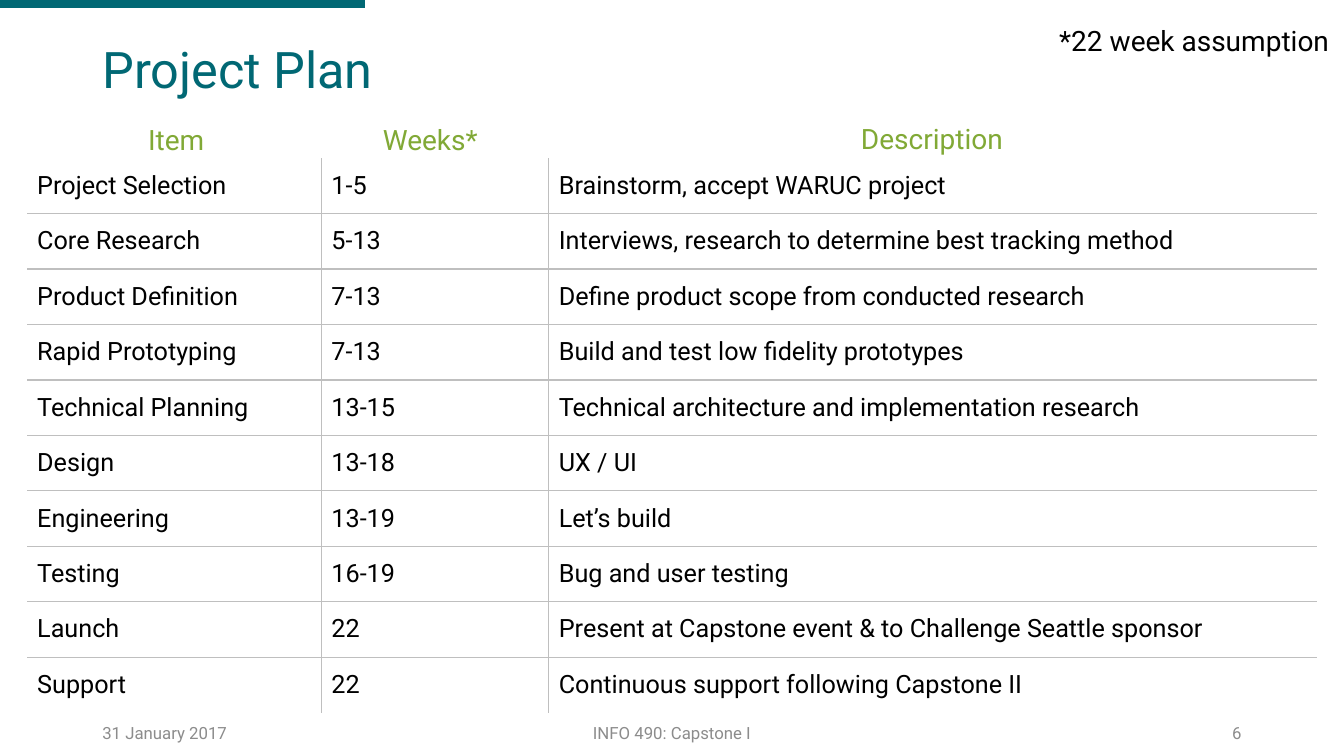
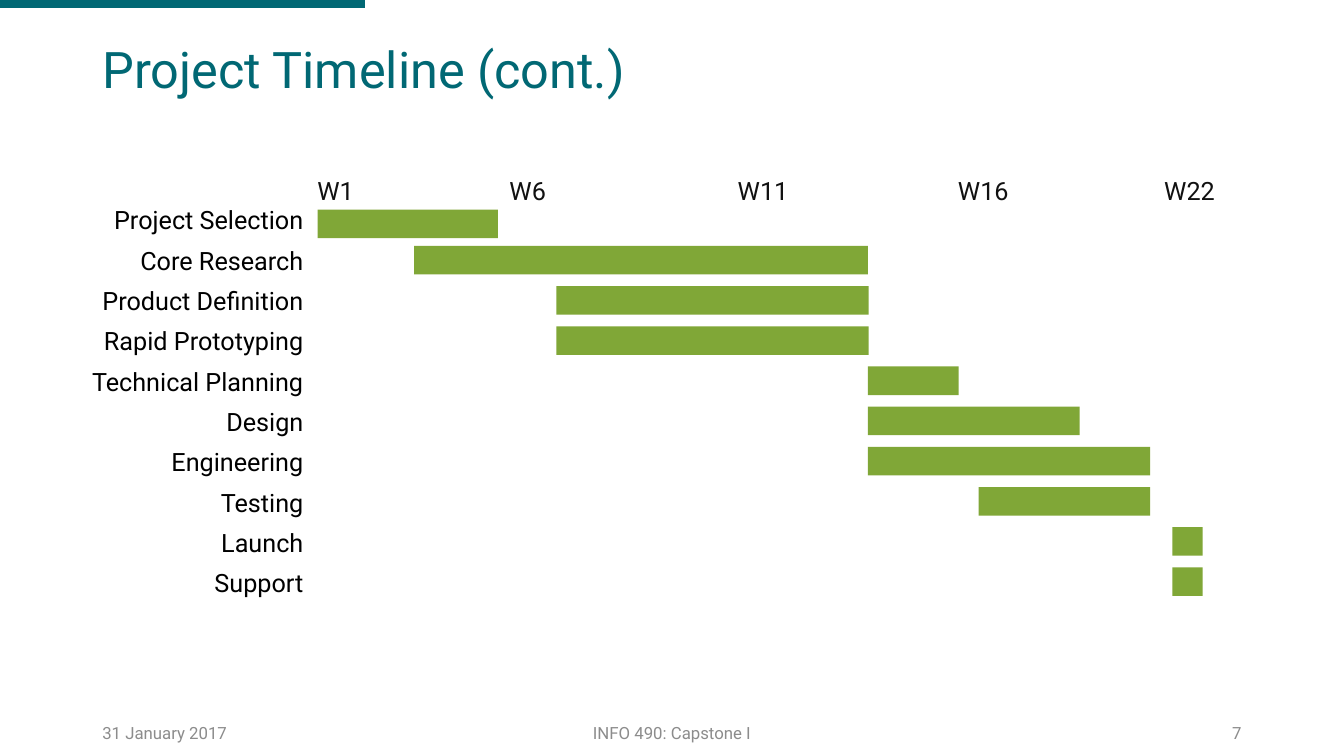
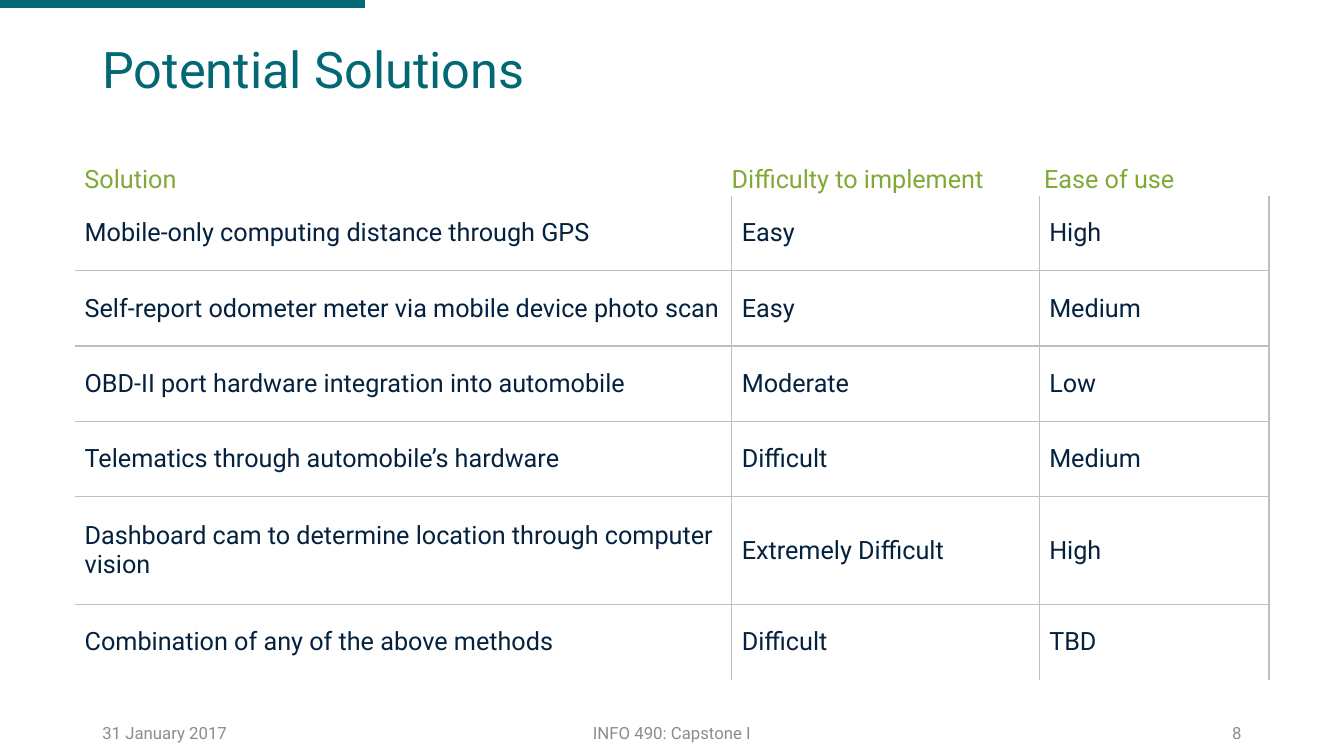
import lxml.etree
import pptx
import pptx.dml.color
import pptx.enum.shapes
import pptx.enum.text
import pptx.oxml.ns
import pptx.util

Pt = pptx.util.Pt
RGBColor = pptx.dml.color.RGBColor
ALIGN = pptx.enum.text.PP_ALIGN
ANCHOR = pptx.enum.text.MSO_ANCHOR
qn = pptx.oxml.ns.qn

TEAL = RGBColor(0x01, 0x68, 0x74)
HEADER_GREEN = RGBColor(0x81, 0xA9, 0x36)
BAR_GREEN = RGBColor(0x80, 0xA7, 0x37)
BLACK = RGBColor(0x00, 0x00, 0x00)
INK = RGBColor(0x11, 0x11, 0x11)
NAVY = RGBColor(0x04, 0x22, 0x3F)
FOOTER_GRAY = RGBColor(0x8C, 0x8C, 0x8C)
RULE_GRAY = RGBColor(0xBF, 0xBF, 0xBF)
FONT = "Roboto"
FIRST_PAGE_NUMBER = 6

PLAN = [
    ("Project Selection", "1-5", "Brainstorm, accept WARUC project"),
    ("Core Research", "5-13", "Interviews, research to determine best tracking method"),
    ("Product Definition", "7-13", "Define product scope from conducted research"),
    ("Rapid Prototyping", "7-13", "Build and test low fidelity prototypes"),
    ("Technical Planning", "13-15", "Technical architecture and implementation research"),
    ("Design", "13-18", "UX / UI"),
    ("Engineering", "13-19", "Let’s build"),
    ("Testing", "16-19", "Bug and user testing"),
    ("Launch", "22", "Present at Capstone event & to Challenge Seattle sponsor"),
    ("Support", "22", "Continuous support following Capstone II"),
]
PLAN_HEADERS = [
    ("Item", 19.4, 84.2, 213),
    ("Weeks*", 224.6, 84.2, 165.6),
    ("Description", 391, 83.2, 549.4),
]
BARS = [
    (226.8, 128.9), (295.9, 324), (397.4, 223.2), (397.4, 223.2), (620, 64.8),
    (620, 151.2), (620, 201.6), (699.1, 122.4), (837.4, 21.6), (837.4, 21.6),
]
WEEKS = [
    ("W1", 219.6, 59, ALIGN.LEFT),
    ("W6", 355.7, 42.5, ALIGN.CENTER),
    ("W11", 514.8, 60.5, ALIGN.CENTER),
    ("W16", 673.9, 56.9, ALIGN.CENTER),
    ("W22", 823, 51.8, ALIGN.RIGHT),
]
SOLUTIONS = [
    ("Mobile-only computing distance through GPS", "Easy", "High"),
    ("Self-report odometer meter via mobile device photo scan", "Easy", "Medium"),
    ("OBD-II port hardware integration into automobile", "Moderate", "Low"),
    ("Telematics through automobile’s hardware", "Difficult", "Medium"),
    ("Dashboard cam to determine location through computer vision", "Extremely Difficult", "High"),
    ("Combination of any of the above methods", "Difficult", "TBD"),
]
SOLUTION_HEADERS = [
    ("Solution", 53.3, 482.4),
    ("Difficulty to implement", 515.5, 221.8),
    ("Ease of use", 738.7, 248.4),
]


def write_text(frame, text, size=18, color=BLACK, align=ALIGN.LEFT, line_spacing=None):
    para = frame.paragraphs[0]
    para.alignment = align
    para.line_spacing = line_spacing
    span = para.add_run()
    span.text = text
    span.font.name = FONT
    span.font.size = Pt(size)
    span.font.color.rgb = color


def add_text(page, text, left, top, width, height=28.8, anchor=ANCHOR.TOP, **text_format):
    box = page.shapes.add_textbox(Pt(left), Pt(top), Pt(width), Pt(height))
    box.text_frame.word_wrap = True
    box.text_frame.vertical_anchor = anchor
    write_text(box.text_frame, text, **text_format)


def add_band(page):
    band = page.shapes.add_connector(
        pptx.enum.shapes.MSO_CONNECTOR.STRAIGHT, Pt(0), Pt(2.2), Pt(260.6), Pt(2.2))
    band.line.color.rgb = TEAL
    band.line.width = Pt(7.5)
    properties = band._element.find(qn("p:spPr"))
    lxml.etree.SubElement(properties, qn("a:effectLst"))


def add_page(deck, title):
    page = deck.slides.add_slide(deck.slide_layouts[5])
    add_band(page)
    box = page.shapes.title
    box.left, box.top, box.width, box.height = Pt(66), Pt(28.8), Pt(828), Pt(68.4)
    box.text_frame.vertical_anchor = ANCHOR.TOP
    write_text(box.text_frame, title, size=36, color=TEAL, line_spacing=0.9)
    number = str(FIRST_PAGE_NUMBER + len(deck.slides) - 1)
    for text, left, width, align in [
        ("31 January 2017", 66, 216, ALIGN.LEFT),
        ("INFO 490: Capstone I", 318, 324, ALIGN.CENTER),
        (number, 678, 216, ALIGN.RIGHT),
    ]:
        add_text(page, text, left, 509, width, anchor=ANCHOR.MIDDLE,
                 size=12, color=FOOTER_GRAY, align=align)
    return page


def set_borders(cell, visible):
    properties = cell._tc.get_or_add_tcPr()
    for position, edge in enumerate("LRTB"):
        line = lxml.etree.Element(qn("a:ln" + edge), w=str(Pt(1)))
        if edge in visible:
            fill = lxml.etree.SubElement(line, qn("a:solidFill"))
            lxml.etree.SubElement(fill, qn("a:srgbClr"), val=str(RULE_GRAY))
        else:
            lxml.etree.SubElement(line, qn("a:noFill"))
        properties.insert(position, line)


def add_grid(page, rows, left, top, widths, heights, anchor=ANCHOR.MIDDLE,
             ruled=True, right_rule=False, **text_format):
    frame = page.shapes.add_table(len(rows), len(widths), Pt(left), Pt(top),
                                  Pt(sum(widths)), Pt(sum(heights)))
    table = frame.table
    table.first_row = table.horz_banding = False
    for column, width in zip(table.columns, widths):
        column.width = Pt(width)
    for row, height in zip(table.rows, heights):
        row.height = Pt(height)
    last_row, last_column = len(rows) - 1, len(widths) - 1
    for row_index, values in enumerate(rows):
        for column_index, value in enumerate(values):
            cell = table.cell(row_index, column_index)
            cell.fill.background()
            cell.vertical_anchor = anchor
            write_text(cell.text_frame, value, **text_format)
            shown = {
                "L": column_index > 0,
                "R": column_index < last_column or right_rule,
                "T": row_index > 0,
                "B": row_index < last_row,
            }
            set_borders(cell, [edge for edge in shown if ruled and shown[edge]])


def add_bar(page, left, top, width):
    bar = page.shapes.add_shape(pptx.enum.shapes.MSO_SHAPE.RECTANGLE,
                                Pt(left), Pt(top), Pt(width), Pt(20.4))
    bar.shadow.inherit = False
    bar.fill.solid()
    bar.fill.fore_color.rgb = BAR_GREEN
    bar.line.fill.background()


def build_plan(deck):
    page = add_page(deck, "Project Plan")
    add_grid(page, PLAN, 19.4, 113, [210.2, 162.4, 548.6], [39.6] * len(PLAN))
    for text, left, top, width in PLAN_HEADERS:
        add_text(page, text, left, top, width, size=20, color=HEADER_GREEN,
                 align=ALIGN.CENTER)
    add_text(page, "*22 week assumption", 749.5, 13, 210.5, size=20)


def build_timeline(deck):
    page = add_page(deck, "Project Timeline (cont.)")
    names = [(item,) for item, _, _ in PLAN]
    add_grid(page, names, 37.4, 143.3, [186.5], [28.35] * len(names),
             anchor=ANCHOR.BOTTOM, ruled=False, align=ALIGN.RIGHT)
    for index, (left, width) in enumerate(BARS):
        add_bar(page, left, max(149.8, 147 + 28.7 * index), width)
    for text, left, width, align in WEEKS:
        add_text(page, text, left, 121.7, width, color=INK, align=align)


def build_solutions(deck):
    page = add_page(deck, "Potential Solutions")
    add_grid(page, SOLUTIONS, 53.3, 139.7, [469.4, 219.6, 164.2],
             [53.75, 53.75, 53.75, 53.75, 77, 53.75], right_rule=True, color=NAVY)
    for text, left, width in SOLUTION_HEADERS:
        add_text(page, text, left, 113, width, color=HEADER_GREEN)


def main():
    deck = pptx.Presentation()
    deck.slide_width, deck.slide_height = Pt(960), Pt(540)
    build_plan(deck)
    build_timeline(deck)
    build_solutions(deck)
    deck.save("out.pptx")


if __name__ == "__main__":
    main()
